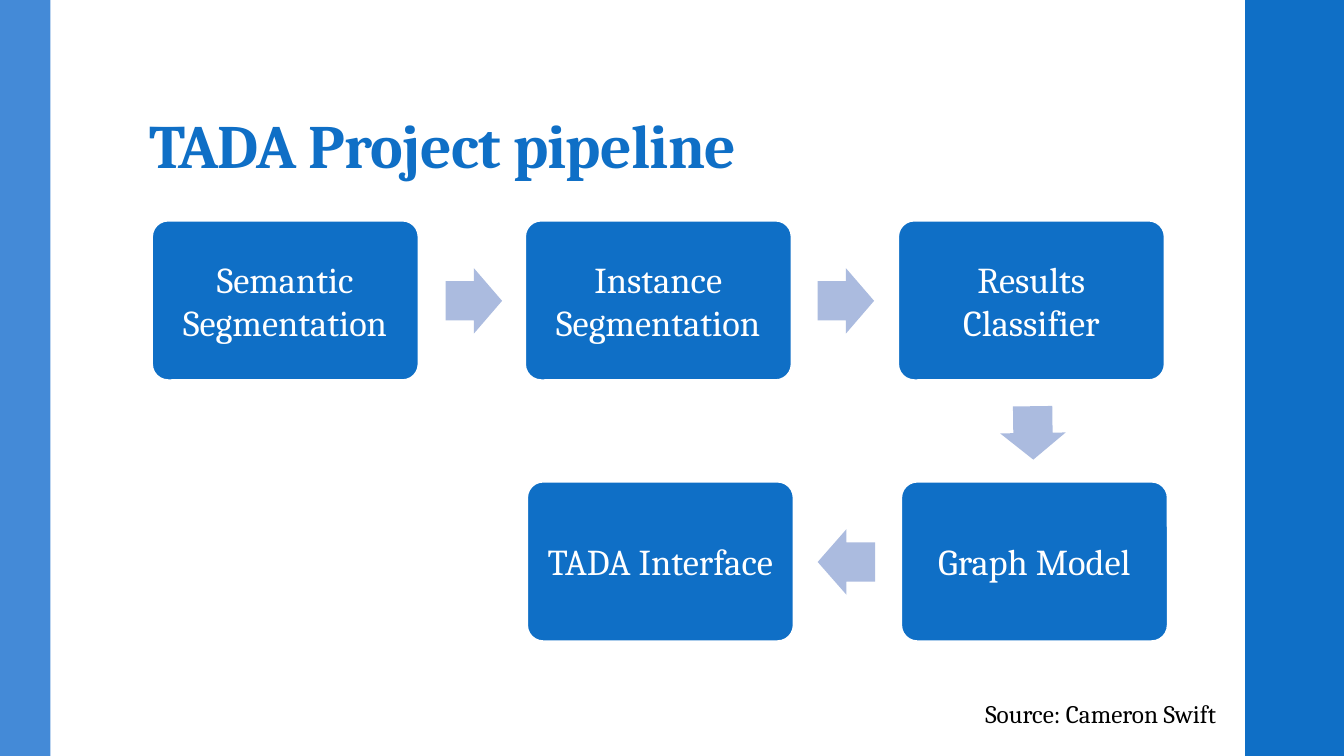
import pptx
import pptx.util
import pptx.dml.color
import pptx.enum.shapes
import pptx.enum.text

Inches = pptx.util.Inches
Pt = pptx.util.Pt
Kind = pptx.enum.shapes.MSO_SHAPE
Align = pptx.enum.text.PP_ALIGN
Anchor = pptx.enum.text.MSO_ANCHOR
BLUE = "0F6FC6"


def paint(target, color):
    """Set a font colour, or a solid fill, from a hex string."""
    if hasattr(target, "solid"):
        target.solid()
        target = target.fore_color
    else:
        target = target.color
    target.rgb = pptx.dml.color.RGBColor.from_string(color)


def block(kind, left, top, width, height, color):
    """Add a flat shape without outline or shadow."""
    shape = slide.shapes.add_shape(
        kind, Inches(left), Inches(top), Inches(width), Inches(height))
    shape.shadow.inherit = False
    paint(shape.fill, color)
    shape.line.fill.background()
    return shape


deck = pptx.Presentation()
deck.slide_width = Inches(13.33)
deck.slide_height = Inches(7.5)
slide = deck.slides.add_slide(deck.slide_layouts[5])

# Side bands
block(Kind.RECTANGLE, 12.35, 0, 1, 7.5, BLUE)
block(Kind.RECTANGLE, 0, 0, 0.5, 7.5, "448AD7")

# Title
title = slide.shapes.title
title.left, title.top = Inches(1.38), Inches(0.32)
title.width, title.height = Inches(10.6), Inches(1.53)
frame = title.text_frame
frame.text = "TADA Project pipeline"
frame.vertical_anchor = Anchor.BOTTOM
frame.margin_left = frame.margin_right = Inches(0.1)
frame.margin_top, frame.margin_bottom = Inches(0.03), Inches(0.05)
head = frame.paragraphs[0]
head.alignment = Align.LEFT
head.line_spacing = 0.9
head.font.name = "Cambria"
head.font.size = Pt(44)
head.font.bold = True
paint(head.font, BLUE)
head.runs[0].font._element.set("spc", "-50")

# Pipeline steps
steps = [
    ("Semantic Segmentation", 1.51, 2.19),
    ("Instance Segmentation", 5.21, 2.19),
    ("Results Classifier", 8.91, 2.19),
    ("Graph Model", 8.94, 4.78),
    ("TADA Interface", 5.23, 4.78),
]
for label, left, top in steps:
    box = block(Kind.ROUNDED_RECTANGLE, left, top, 2.64, 1.58, BLUE)
    box.adjustments[0] = 0.1
    paint(box.line.fill, "FFFFFF")
    box.line.width = Pt(1.1)
    frame = box.text_frame
    frame.text = label
    frame.word_wrap = True
    frame.vertical_anchor = Anchor.MIDDLE
    frame.margin_left = frame.margin_right = Inches(0.11)
    frame.margin_top = frame.margin_bottom = Inches(0.11)
    para = frame.paragraphs[0]
    para.alignment = Align.CENTER
    para.space_before = para.space_after = Pt(6)
    para.font.name = "Cambria"
    para.font.size = Pt(26)
    paint(para.font, "FFFFFF")

# Arrows between steps
arrows = [
    (4.42, 2.66, 0.56, 0),
    (8.11, 2.66, 0.56, 0),
    (9.98, 3.97, 0.53, 89.2),
    (8.11, 5.25, 0.57, 180),
]
for left, top, width, turn in arrows:
    arrow = block(Kind.RIGHT_ARROW, left, top, width, 0.65, "ABBBDF")
    arrow.adjustments[0] = 0.6
    arrow.adjustments[1] = 0.5
    arrow.rotation = turn

# Source line
note = slide.shapes.add_textbox(
    Inches(7.86), Inches(6.88), Inches(4.3), Inches(0.4))
note.text_frame.word_wrap = True
note.text_frame.text = "Source: Cameron Swift"
para = note.text_frame.paragraphs[0]
para.alignment = Align.RIGHT
para.font.name = "Cambria"
para.font.size = Pt(18)
paint(para.font, "000000")

deck.save("out.pptx")
